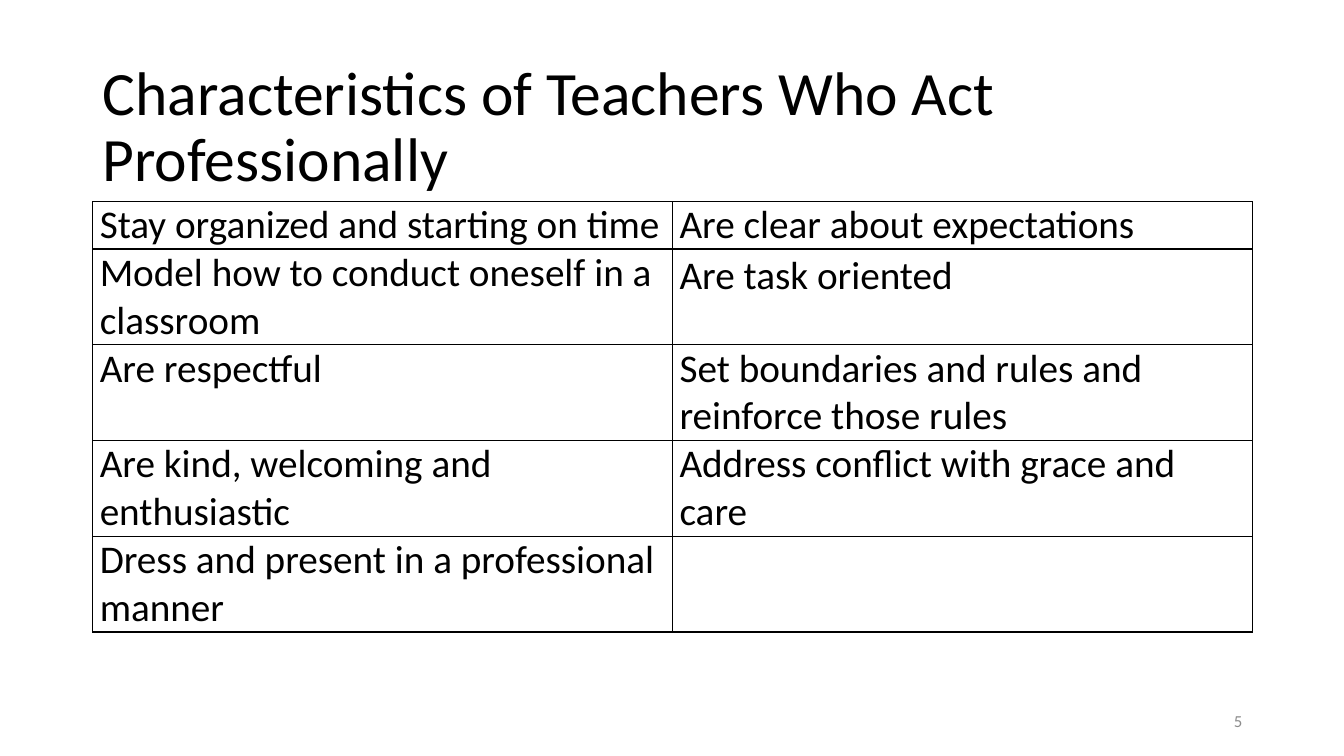
from pptx import Presentation
from pptx.dml.color import RGBColor as RGB
from pptx.enum.text import MSO_ANCHOR as Anchor, PP_ALIGN as Align
from pptx.oxml import parse_xml
from pptx.oxml.ns import nsdecls
from pptx.util import Pt

SCALE = 9144  # EMU per px, 100 px to the inch
COLORS = {"ink": "000000", "muted": "8C8C8C"}

TRAITS = [
    ("Stay organized and starting on time", "Are clear about expectations"),
    ("Model how to conduct oneself in a classroom", "Are task oriented"),
    ("Are respectful", "Set boundaries and rules and reinforce those rules"),
    ("Are kind, welcoming and enthusiastic", "Address conflict with grace and care"),
    ("Dress and present in a professional manner", ""),
]
HEIGHTS = [47, 95, 95, 95, 95]


def px(n):
    return n * SCALE


def write(frame, text, size=28, color="ink", align=Align.LEFT, lead=None):
    para = frame.paragraphs[0]
    para.alignment = align
    if lead:
        para.line_spacing = lead
    para.font.size = Pt(size)
    para.font.name = "Calibri"
    if text:
        run = para.add_run()
        run.text = text
        run.font.size = Pt(size)
        run.font.name = "Calibri"
        run.font.color.rgb = RGB.from_string(COLORS[color])


class Deck:
    def __init__(self, wide, high):
        self.prs = Presentation()
        self.prs.slide_width, self.prs.slide_height = px(wide), px(high)
        self.slide = self.prs.slides.add_slide(self.prs.slide_layouts[6])

    def label(self, box, text, **style):
        frame = self.slide.shapes.add_textbox(*map(px, box)).text_frame
        frame.word_wrap = True
        frame.vertical_anchor = Anchor.MIDDLE
        write(frame, text, **style)

    def border(self, cell, width=1):
        props = cell._tc.get_or_add_tcPr()
        for side in "LRTB":
            props.append(parse_xml(
                f'<a:ln{side} {nsdecls("a")} w="{Pt(width)}"><a:solidFill>'
                f'<a:srgbClr val="{COLORS["ink"]}"/></a:solidFill></a:ln{side}>'))

    def table(self, left, top, width, rows, heights, leads):
        cols = len(rows[0])
        grid = self.slide.shapes.add_table(
            len(rows), cols, px(left), px(top), px(width), px(sum(heights))).table
        grid.first_row = grid.horz_banding = False
        for r, (row, high) in enumerate(zip(rows, heights)):
            grid.rows[r].height = px(high)
            for c, text in enumerate(row):
                cell = grid.cell(r, c)
                cell.margin_left = cell.margin_right = px(7)
                cell.margin_top = cell.margin_bottom = 0
                self.border(cell)
                cell.fill.background()
                write(cell.text_frame, text, lead=leads.get((r, c)))


def main():
    deck = Deck(1333, 750)
    # Title
    deck.label((92, 55, 1150, 145),
               "Characteristics of Teachers Who Act Professionally",
               size=44, lead=0.9)
    # Table of traits
    deck.table(92, 200, 1150, TRAITS, HEIGHTS, leads={(1, 1): 1.07})
    # Slide number
    deck.label((942, 695, 300, 40), "5", size=12, color="muted", align=Align.RIGHT)
    deck.prs.save("out.pptx")


if __name__ == "__main__":
    main()
